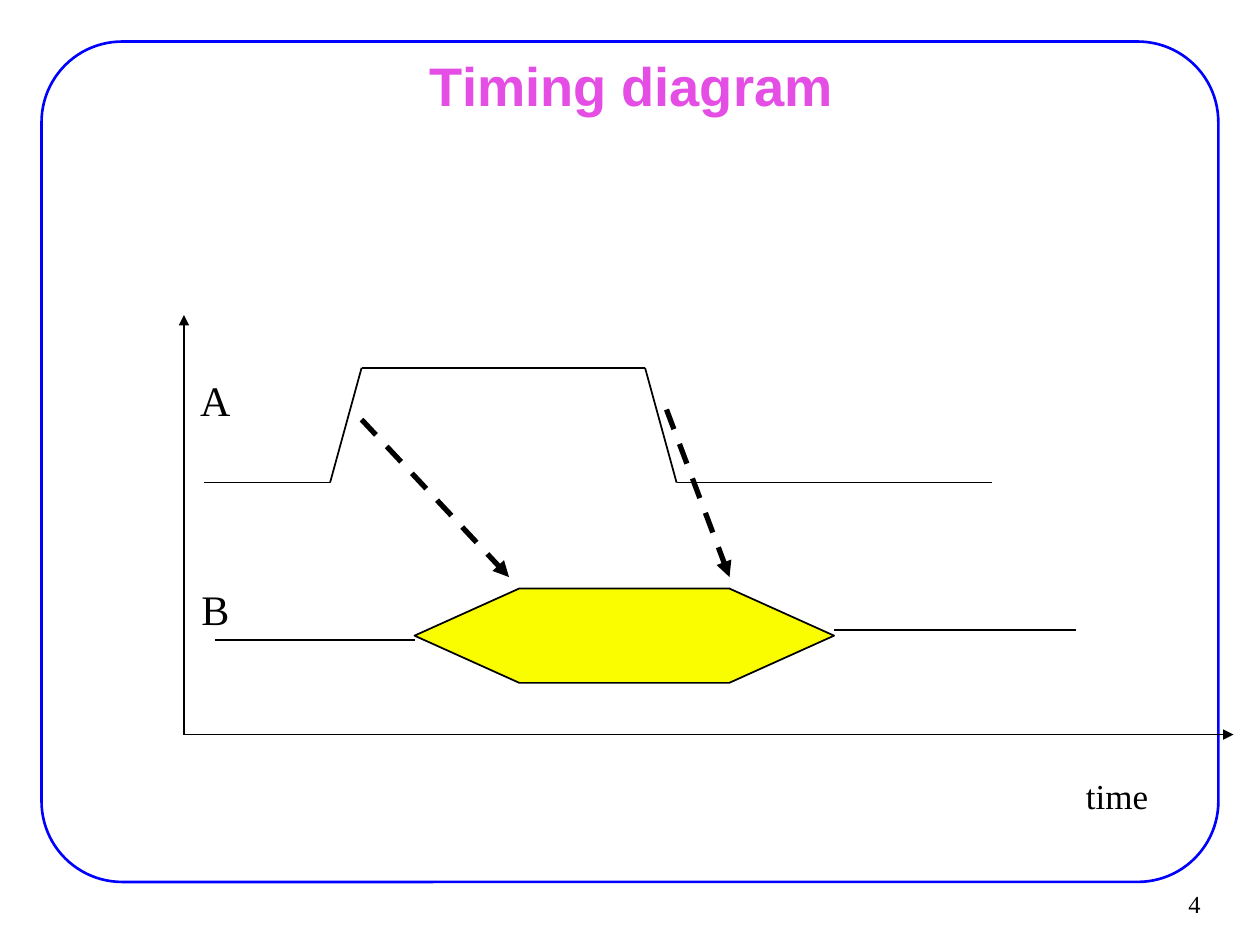
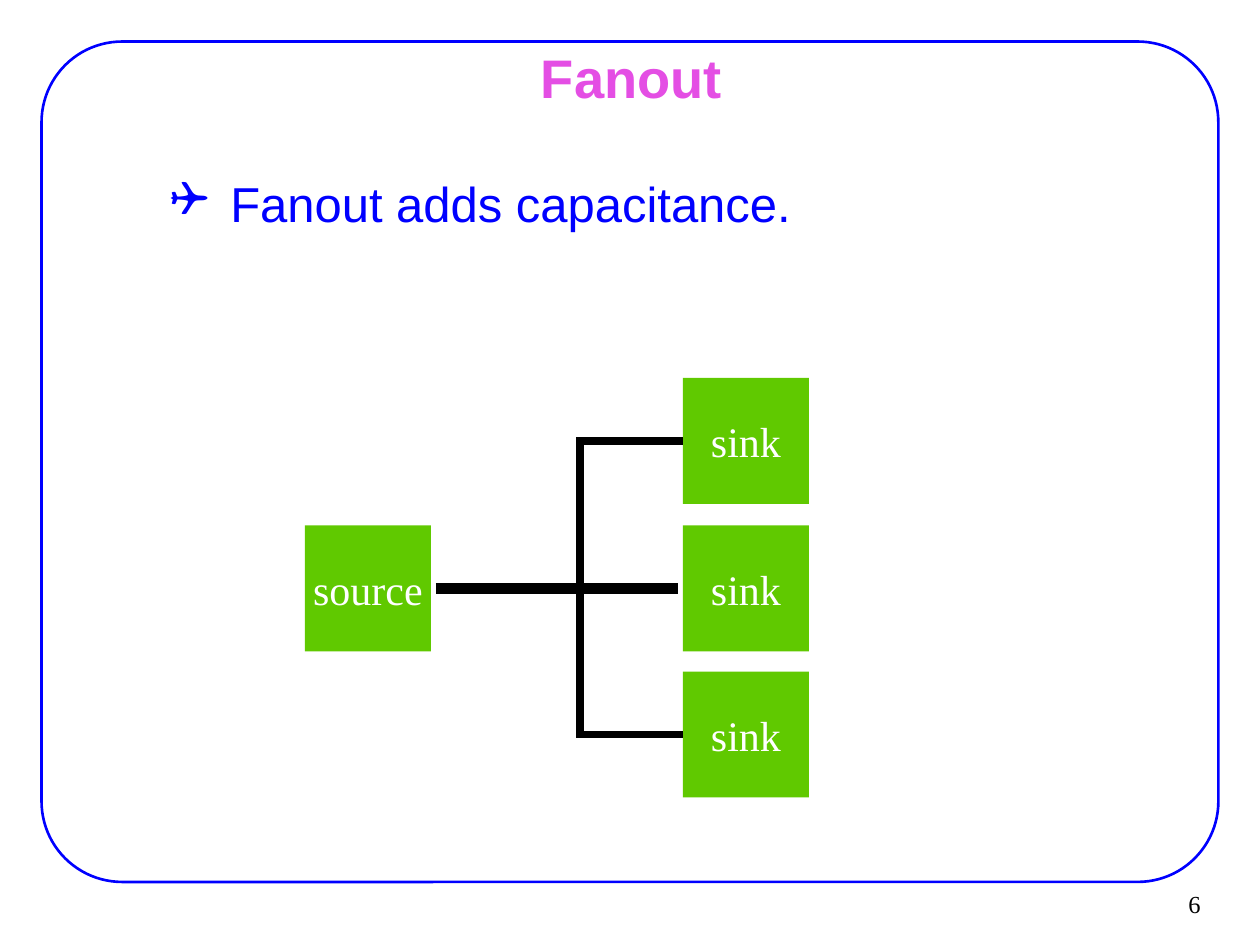
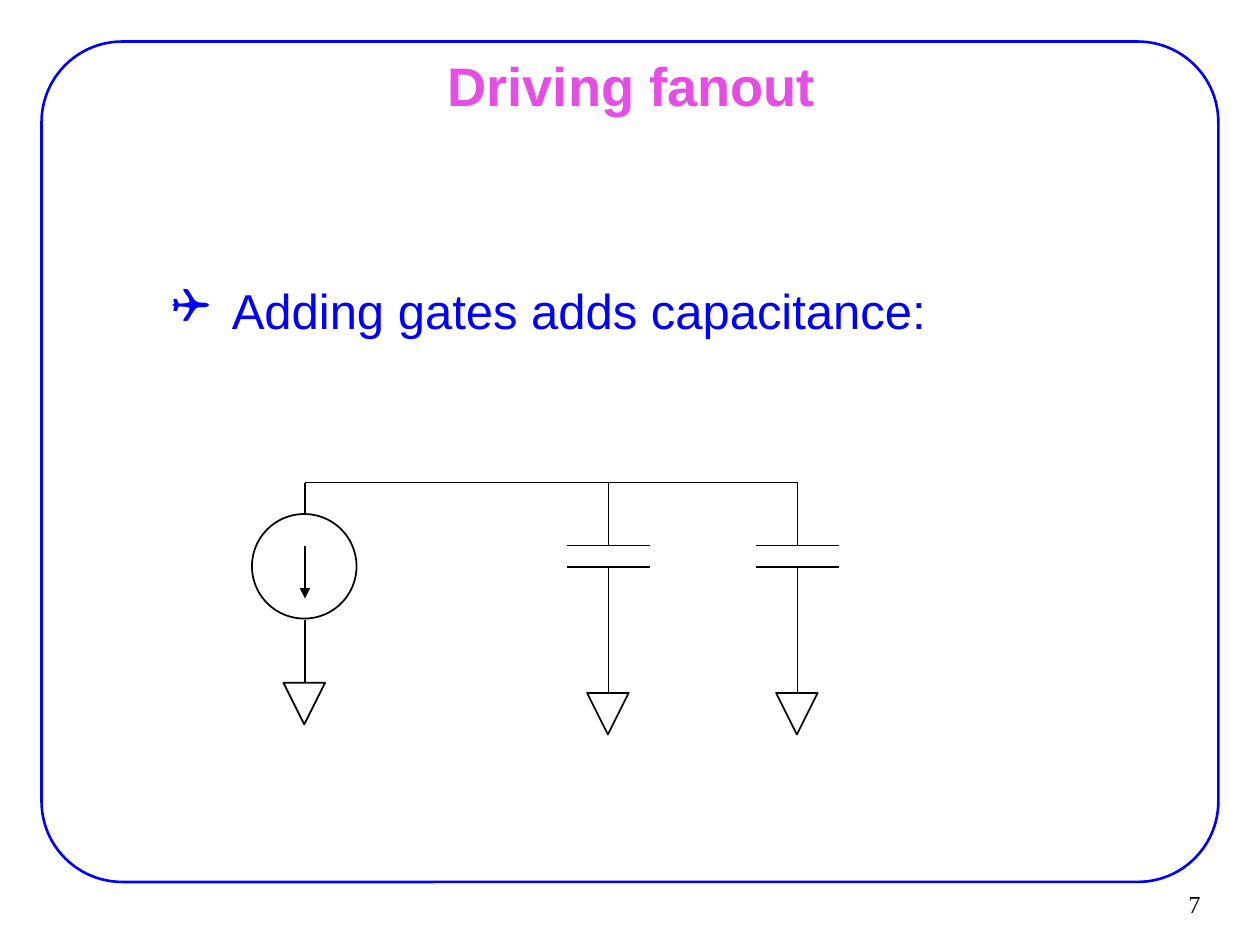
from dataclasses import dataclass

from lxml import etree
from pptx import Presentation
from pptx.dml.color import RGBColor
from pptx.enum.dml import MSO_LINE
from pptx.enum.shapes import MSO_CONNECTOR, MSO_SHAPE
from pptx.enum.text import MSO_ANCHOR, MSO_AUTO_SIZE, PP_ALIGN
from pptx.oxml.ns import qn
from pptx.util import Inches, Pt

STRAIGHT = MSO_CONNECTOR.STRAIGHT
DASH = MSO_LINE.DASH
ROUNDED, RECTANGLE = MSO_SHAPE.ROUNDED_RECTANGLE, MSO_SHAPE.RECTANGLE
HEXAGON, OVAL, TRIANGLE = MSO_SHAPE.HEXAGON, MSO_SHAPE.OVAL, MSO_SHAPE.ISOSCELES_TRIANGLE
TOP, MIDDLE, BOTTOM = MSO_ANCHOR.TOP, MSO_ANCHOR.MIDDLE, MSO_ANCHOR.BOTTOM
LEFT, CENTER, RIGHT = PP_ALIGN.LEFT, PP_ALIGN.CENTER, PP_ALIGN.RIGHT
GROW = MSO_AUTO_SIZE.SHAPE_TO_FIT_TEXT

BLACK, WHITE, BLUE = "000000", "FFFFFF", "0000FF"
PINK, YELLOW, GREEN = "E44EE4", "FAFD00", "60C900"
SANS, SERIF, SYMBOLS = "Arial", "Times New Roman", "Wingdings"

Point = tuple[float, float]


@dataclass(frozen=True)
class Area:
    left: float
    top: float
    width: float
    height: float

    def lengths(self) -> list:
        return [Inches(value) for value in (self.left, self.top, self.width, self.height)]


@dataclass(frozen=True)
class Style:
    size: float
    font: str = SERIF
    color: str = BLACK
    bold: bool = False
    align: PP_ALIGN = LEFT


@dataclass(frozen=True)
class Stroke:
    width: float = 1
    color: str = BLACK
    dashed: bool = False
    arrow: bool = False


TITLE = Style(31, SANS, PINK, True, CENTER)
BULLET = Style(28, SANS, BLUE)
NUMBER = Style(14, align=RIGHT)
SIGNAL = Style(24)
AXIS = Style(20)
BLOCK = Style(24, color=WHITE, align=CENTER)

THIN = Stroke()
ARROW = Stroke(arrow=True)
CAUSE = Stroke(3, dashed=True, arrow=True)
WIRE = Stroke(6)
BRANCH = Stroke(4.5)
FRAME = Stroke(1.5, BLUE)


def rgb(color: str) -> RGBColor:
    return RGBColor.from_string(color)


def apply_stroke(line, stroke: Stroke) -> None:
    line.width = Pt(stroke.width)
    line.color.rgb = rgb(stroke.color)
    if stroke.dashed:
        line.dash_style = DASH


def write(box, text: str, style: Style, anchor=TOP, inset: Point = (0.1, 0.05), wrap=True):
    frame = box.text_frame
    frame.word_wrap = wrap
    frame.vertical_anchor = anchor
    frame.margin_left = frame.margin_right = Inches(inset[0])
    frame.margin_top = frame.margin_bottom = Inches(inset[1])
    para = frame.paragraphs[0]
    para.text = text
    para.alignment = style.align
    para.font.size = Pt(style.size)
    para.font.name = style.font
    para.font.bold = style.bold
    para.font.color.rgb = rgb(style.color)


def add_text(page, area: Area, text: str, style: Style, anchor=TOP, inset: Point = (0.1, 0.05)):
    write(page.shapes.add_textbox(*area.lengths()), text, style, anchor, inset)


def add_label(page, area: Area, text: str, style: Style) -> None:
    box = page.shapes.add_textbox(*area.lengths())
    write(box, text, style, wrap=False)
    box.text_frame.auto_size = GROW


def add_bullet(page, area: Area, text: str, inset: Point) -> None:
    box = page.shapes.add_textbox(*area.lengths())
    properties = box.text_frame.paragraphs[0]._p.get_or_add_pPr()
    properties.set("marL", str(Inches(0.98)))
    properties.set("indent", str(Inches(-0.48)))
    etree.SubElement(properties, qn("a:buFont")).set("typeface", SYMBOLS)
    etree.SubElement(properties, qn("a:buChar")).set("char", "❑")
    write(box, text, BULLET, inset=inset)


def add_figure(page, kind, area: Area, fill: str | None = None, stroke: Stroke | None = THIN):
    figure = page.shapes.add_shape(kind, *area.lengths())
    figure.shadow.inherit = False
    if fill:
        figure.fill.solid()
        figure.fill.fore_color.rgb = rgb(fill)
    else:
        figure.fill.background()
    if stroke:
        apply_stroke(figure.line, stroke)
    else:
        figure.line.fill.background()
    return figure


def add_line(page, start: Point, end: Point, stroke: Stroke = THIN) -> None:
    ends = [Inches(value) for value in (*start, *end)]
    line = page.shapes.add_connector(STRAIGHT, *ends)
    apply_stroke(line.line, stroke)
    if stroke.arrow:
        etree.SubElement(line.line._get_or_add_ln(), qn("a:tailEnd")).set("type", "triangle")
    etree.SubElement(line._element.spPr, qn("a:effectLst"))


def add_chain(page, points: list[Point]) -> None:
    for start, end in zip(points, points[1:]):
        add_line(page, start, end)


def add_page(deck, title: str, number: int, anchor=MIDDLE, inset: Point = (0.11, 0.06)):
    page = deck.slides.add_slide(deck.slide_layouts[6])
    frame = add_figure(page, ROUNDED, Area(0.33, 0.33, 9.34, 6.67), stroke=FRAME)
    frame.adjustments[0] = 0.096
    add_text(page, Area(9.02, 6.99, 0.6, 0.37), str(number), NUMBER, MIDDLE, (0.09, 0.04))
    add_text(page, Area(0.76, 0.43, 8.5, 0.49), title, TITLE, anchor, inset)
    return page


def build_timing(deck) -> None:
    page = add_page(deck, "Timing diagram", 4)
    origin = (1.46, 5.83)
    add_line(page, origin, (9.79, 5.83), ARROW)
    add_line(page, origin, (1.46, 2.5), ARROW)
    add_label(page, Area(8.52, 6.1, 0.72, 0.43), "time", AXIS)
    add_label(page, Area(1.49, 2.92, 0.44, 0.5), "A", SIGNAL)
    add_label(page, Area(1.5, 4.58, 0.42, 0.5), "B", SIGNAL)

    valid = add_figure(page, HEXAGON, Area(3.29, 4.67, 3.33, 0.75), YELLOW)
    valid.adjustments[0] = 1.11
    add_line(page, (3.29, 5.08), (1.71, 5.08))
    add_line(page, (6.62, 5), (8.54, 5))

    low, high = 3.83, 2.92
    add_chain(page, [(1.62, low), (2.62, low), (2.87, high),
                     (5.12, high), (5.37, low), (7.87, low)])
    add_line(page, (5.29, 3.25), (5.79, 4.58), CAUSE)
    add_line(page, (2.87, 3.33), (4.04, 4.58), CAUSE)


def add_block(page, left: float, middle: float, text: str) -> None:
    block = add_figure(page, RECTANGLE, Area(left, middle - 0.5, 1, 1), GREEN, None)
    write(block, text, BLOCK, MIDDLE, wrap=False)


def build_fanout(deck) -> None:
    page = add_page(deck, "Fanout", 6, BOTTOM, (0.1, 0.05))
    add_bullet(page, Area(0.75, 1.33, 8.5, 5.08), "Fanout adds capacitance.", (0.1, 0.05))
    upper, center, lower = 3.5, 4.67, 5.83
    sink_left, trunk = 5.42, 4.6
    add_block(page, 2.42, center, "source")
    for middle in (upper, center, lower):
        add_block(page, sink_left, middle, "sink")
    add_line(page, (3.46, center), (4.58, center), WIRE)
    add_line(page, (4.54, center), (5.38, center), WIRE)

    builder = page.shapes.build_freeform(Inches(sink_left), Inches(upper))
    corners = [(trunk, upper), (trunk, lower), (sink_left, lower)]
    builder.add_line_segments([(Inches(x), Inches(y)) for x, y in corners], close=False)
    branch = builder.convert_to_shape()
    branch.shadow.inherit = False
    branch.fill.background()
    apply_stroke(branch.line, BRANCH)
    etree.SubElement(branch.line._get_or_add_ln(), qn("a:miter")).set("lim", "800000")


def add_ground(page, center: float, top: float) -> None:
    ground = add_figure(page, TRIANGLE, Area(center - 0.17, top, 0.33, 0.33), WHITE)
    ground._element.spPr.xfrm.set("flipV", "1")


def add_capacitor(page, center: float, rail: float) -> None:
    upper_plate, lower_plate, ground_top = 4.33, 4.5, 5.5
    add_line(page, (center, rail), (center, upper_plate))
    for plate in (upper_plate, lower_plate):
        add_line(page, (center - 0.33, plate), (center + 0.33, plate))
    add_line(page, (center, lower_plate), (center, ground_top))
    add_ground(page, center, ground_top)


def build_driving(deck) -> None:
    page = add_page(deck, "Driving fanout", 7)
    add_bullet(page, Area(0.75, 2.17, 8.51, 1), "Adding gates adds capacitance:", (0.11, 0.06))
    rail, source, loads = 3.83, 2.42, (4.83, 6.33)
    add_figure(page, OVAL, Area(2, 4.08, 0.83, 0.83), WHITE)
    add_line(page, (source, 4.33), (source, 4.75), ARROW)
    add_line(page, (source, 4.92), (source, 5.42))
    add_ground(page, source, 5.42)
    add_line(page, (source, 4.08), (source, rail))
    add_chain(page, [(x, rail) for x in (source, *loads)])
    for load in loads:
        add_capacitor(page, load, rail)


def main() -> None:
    deck = Presentation()
    deck.slide_width, deck.slide_height = Inches(10), Inches(7.5)
    build_timing(deck)
    build_fanout(deck)
    build_driving(deck)
    deck.save("out.pptx")


if __name__ == "__main__":
    main()
